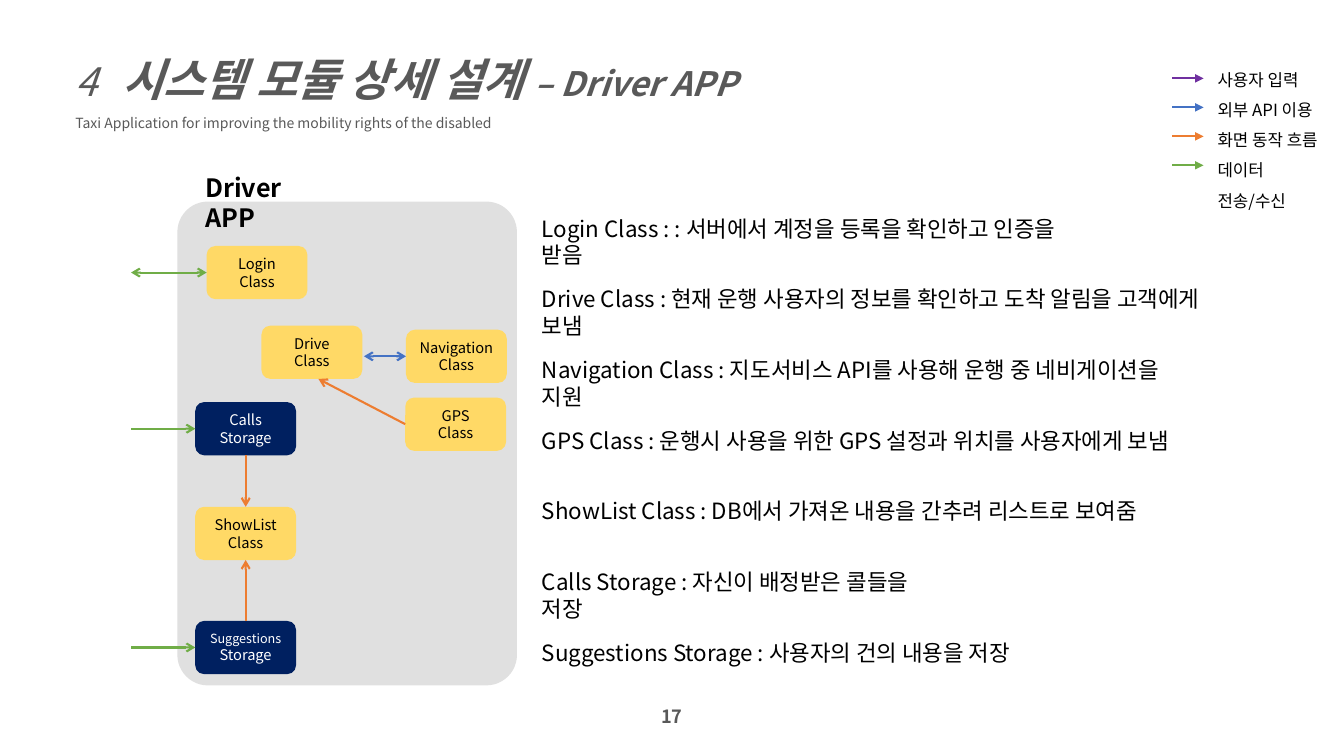
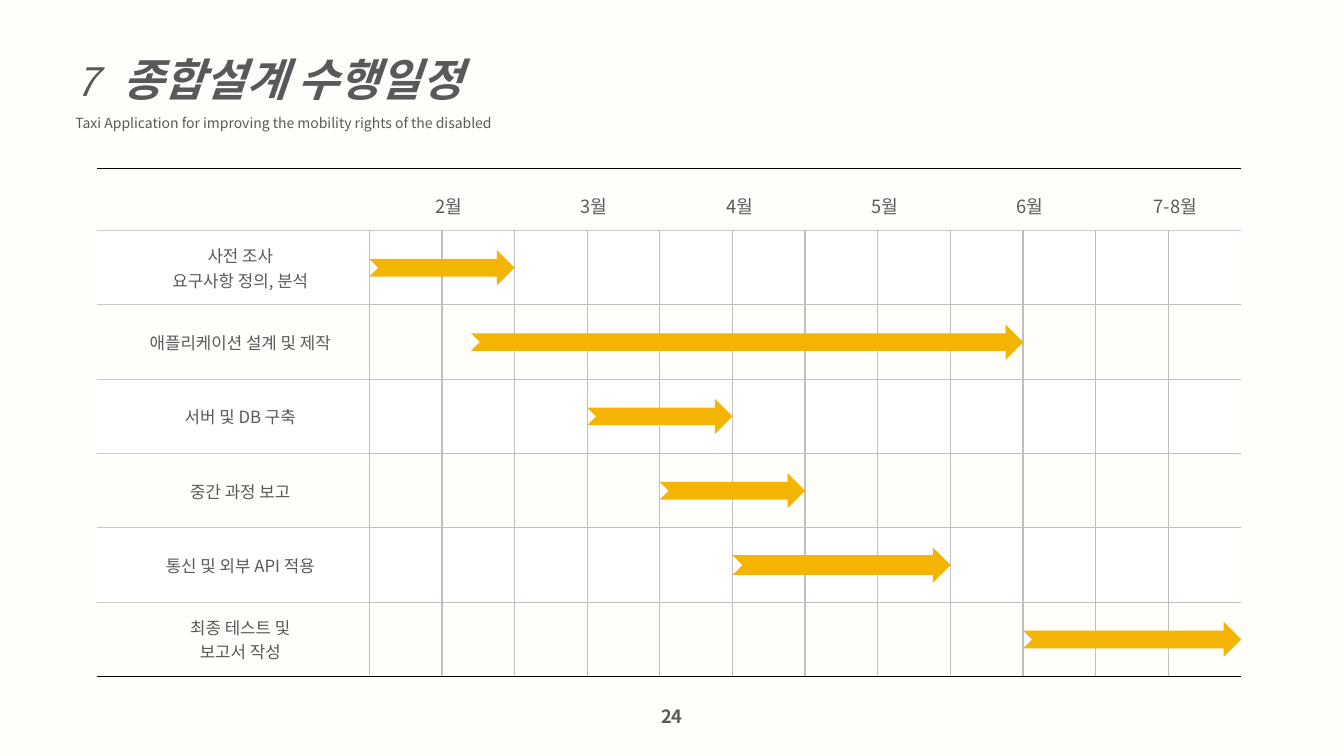
from lxml.etree import SubElement
from pptx import Presentation
from pptx.dml.color import RGBColor
from pptx.enum.shapes import MSO_CONNECTOR, MSO_SHAPE
from pptx.enum.text import MSO_ANCHOR, MSO_AUTO_SIZE, PP_ALIGN
from pptx.oxml.ns import qn
from pptx.util import Pt

FONT = "Noto Sans CJK KR"
BLACK, WHITE, GRAY = "000000", "FFFFFF", "595959"
YELLOW, NAVY, PANEL, GOLD = "FFD966", "002060", "E0E0E0", "F3B403"
PURPLE, BLUE, ORANGE, GREEN = "7030A0", "4472C4", "ED7D31", "70AD47"
GRID, RULE = "BFBFBF", "CACACA"
SUBTITLE = "Taxi Application for improving the mobility rights of the disabled"

DESCRIPTIONS = [
    ("Login Class : : 서버에서 계정을 등록을 확인하고 인증을 받음", 414),
    ("Drive Class : 현재 운행 사용자의 정보를 확인하고 도착 알림을 고객에게 보냄", 511),
    ("Navigation Class : 지도서비스 API를 사용해 운행 중 네비게이션을 지원", 480),
    ("GPS Class : 운행시 사용을 위한 GPS 설정과 위치를 사용자에게 보냄", 464),
    ("ShowList Class : DB에서 가져온 내용을 간추려 리스트로 보여줌", 440),
    ("Calls Storage : 자신이 배정받은 콜들을 저장", 308),
    ("Suggestions Storage : 사용자의 건의 내용을 저장", 349),
]
MODULES = [
    ("Login", "Class", 147.6, 175.7, 10.5),
    ("Drive", "Class", 186.8, 232.6, 10.5),
    ("Navigation", "Class", 290, 235.5, 10.5),
    ("GPS", "Class", 289.5, 284, 10.5),
    ("Calls", "Storage", 139.5, 287.2, 10.5),
    ("ShowList", "Class", 139.5, 362, 10.5),
    ("Suggestions", "Storage", 139.5, 443.5, 9),
]
FLOWS = [
    (("Login", 1), (93.6, 194.7), GREEN, True),
    ((93.6, 306.2), ("Calls", 1), GREEN, False),
    ((93.6, 462.5), ("Suggestions", 1), GREEN, False),
    ((260, 254.5), ("Navigation", 1), BLUE, True),
    (("GPS", 1), (227.5, 270.7), ORANGE, False),
    (("Calls", 2), ("ShowList", 0), ORANGE, False),
    (("Suggestions", 0), ("ShowList", 2), ORANGE, False),
]
LEGEND = [("사용자 입력", PURPLE), ("외부 API 이용", BLUE),
          ("화면 동작 흐름", ORANGE), ("데이터 전송/수신", GREEN)]

MONTHS = ["2월", "3월", "4월", "5월", "6월", "7-8월"]
TASKS = [
    (["사전 조사", "요구사항 정의, 분석"], 0, 2, 0.5),
    (["애플리케이션 설계 및 제작"], 1.4, 9, 0.5),
    (["서버 및 DB 구축"], 3, 5, 0.5),
    (["중간 과정 보고"], 4, 6, 0.5),
    (["통신 및 외부 API 적용"], 5, 8, 0.56),
    (["최종 테스트 및", "보고서 작성"], 9, 12, 0.5),
]
TABLE_LEFT, TABLE_TOP = 69.4, 120.2
LABEL_WIDTH, HALF_MONTH = 194.4, 51.9
HEADER_HEIGHT, TASK_HEIGHT, BAR_HEIGHT = 44.5, 53.1, 25.2


def rgb(value):
    """Turn a hex string into a colour."""
    return RGBColor.from_string(value)


def write(frame, paragraphs, color=BLACK, align=PP_ALIGN.LEFT, spacing=None):
    """Fill a text frame with paragraphs of (text, size, style) runs."""
    frame.word_wrap = True
    for index, spans in enumerate(paragraphs):
        para = frame.paragraphs[0] if index == 0 else frame.add_paragraph()
        para.alignment = align
        if spacing:
            para.line_spacing = spacing
        for text, size, style in spans:
            span = para.add_run()
            span.text = text
            span.font.size = Pt(size)
            span.font.name = FONT
            span.font.bold = "b" in style
            span.font.italic = "i" in style
            span.font.color.rgb = rgb(color)
            east_asian = SubElement(span.font._element, qn("a:ea"))
            east_asian.set("typeface", FONT)


def add_text(page, left, top, width, height, paragraphs, **options):
    """Add a text box that grows with its text."""
    box = page.shapes.add_textbox(Pt(left), Pt(top), Pt(width), Pt(height))
    write(box.text_frame, paragraphs, **options)
    box.text_frame.auto_size = MSO_AUTO_SIZE.SHAPE_TO_FIT_TEXT
    return box


def add_block(page, kind, left, top, width, height, fill):
    """Add a flat filled shape without outline."""
    block = page.shapes.add_shape(kind, Pt(left), Pt(top), Pt(width), Pt(height))
    block.shadow.inherit = False
    block.fill.solid()
    block.fill.fore_color.rgb = rgb(fill)
    block.line.fill.background()
    return block


def add_arrow(page, start, end, color, kind, both=False, blocks=None):
    """Draw an arrow between points or (block name, side) joints."""
    free = [(0, 0) if isinstance(p[0], str) else p for p in (start, end)]
    points = [Pt(value) for point in free for value in point]
    arrow = page.shapes.add_connector(MSO_CONNECTOR.STRAIGHT, *points)
    for joint, connect in ((start, arrow.begin_connect), (end, arrow.end_connect)):
        if isinstance(joint[0], str):
            connect(blocks[joint[0]], joint[1])
    arrow.line.color.rgb = rgb(color)
    arrow.line.width = Pt(1.5)
    line = arrow.line._get_or_add_ln()
    for tag in ("a:headEnd", "a:tailEnd") if both else ("a:tailEnd",):
        SubElement(line, qn(tag)).set("type", kind)
    SubElement(arrow._element.spPr, qn("a:effectLst"))


def add_page(deck, background, number, title, suffix, page_number):
    """Add a slide with the shared title, subtitle and page number."""
    page = deck.slides.add_slide(deck.slide_layouts[6])
    page.background.fill.solid()
    page.background.fill.fore_color.rgb = rgb(background)
    heading = [(number, 28, "i"), ("\t", 24, "i"), (title, 32, "bi")]
    if suffix:
        heading.append((suffix, 24, "bi"))
    box = add_text(page, 46.8, 14.4, 575, 82,
                   [heading, [(SUBTITLE, 10, "")]], color=GRAY, spacing=1.5)
    properties = box.text_frame.paragraphs[0]._p.get_or_add_pPr()
    tab = SubElement(SubElement(properties, qn("a:tabLst")), qn("a:tab"))
    tab.set("pos", str(Pt(33.5)))
    tab.set("algn", "l")
    add_text(page, 0, 500.4, 960, 23, [[(page_number, 13, "b")]],
             color=GRAY, align=PP_ALIGN.CENTER)
    return page


def build_modules(deck):
    """Build the module diagram with its descriptions and legend."""
    page = add_page(deck, WHITE, "4", "시스템 모듈 상세 설계 ", "– Driver APP", "17")
    for index, (text, width) in enumerate(DESCRIPTIONS):
        add_text(page, 380, 149.8 + 50.5 * index, width, 26.6, [[(text, 16, "")]])
    panel = add_block(page, MSO_SHAPE.ROUNDED_RECTANGLE, 126.7, 144, 242.6, 345.6, PANEL)
    panel.adjustments[0] = 0.09
    blocks = {}
    for name, kind, left, top, size in MODULES:
        fill, color = (NAVY, WHITE) if kind == "Storage" else (YELLOW, BLACK)
        block = add_block(page, MSO_SHAPE.ROUNDED_RECTANGLE, left, top, 72, 38, fill)
        write(block.text_frame, [[(name, size, "")], [(kind, 10.5, "")]],
              color=color, align=PP_ALIGN.CENTER)
        blocks[name] = block
    for start, end, color, both in FLOWS:
        add_arrow(page, start, end, color, "arrow", both, blocks)
    add_text(page, 139.5, 119.5, 103, 29, [[("Driver APP", 18, "b")]])
    for index, (text, color) in enumerate(LEGEND):
        y = 56 + 20.7 * index
        add_arrow(page, (837.4, y), (859.7, y), color, "triangle")
    add_text(page, 862.6, 38.9, 97.9, 93,
             [[(text, 12, "")] for text, color in LEGEND], spacing=1.5)


def style_cell(cell, left, right, top, bottom, fill):
    """Set the four borders, the fill and the margins of a cell."""
    properties = cell._tc.get_or_add_tcPr()
    for tag, color in (("lnL", left), ("lnR", right), ("lnT", top), ("lnB", bottom)):
        line = SubElement(properties, qn("a:" + tag))
        line.set("w", str(Pt(1)))
        if color:
            paint = SubElement(line, qn("a:solidFill"))
            SubElement(paint, qn("a:srgbClr")).set("val", color)
        else:
            SubElement(line, qn("a:noFill"))
    if fill:
        cell.fill.solid()
        cell.fill.fore_color.rgb = rgb(fill)
    else:
        cell.fill.background()
    cell.margin_left, cell.margin_right = Pt(17.3), Pt(7.2)
    cell.margin_top = cell.margin_bottom = Pt(3.6)
    cell.vertical_anchor = MSO_ANCHOR.MIDDLE


def build_schedule(deck):
    """Build the schedule table with a bar for each task."""
    page = add_page(deck, "FFFEFB", "7", "종합설계 수행일정", "", "24")
    halves, last_row = 2 * len(MONTHS), len(TASKS)
    table = page.shapes.add_table(
        last_row + 1, halves + 1, Pt(TABLE_LEFT), Pt(TABLE_TOP),
        Pt(LABEL_WIDTH + halves * HALF_MONTH),
        Pt(HEADER_HEIGHT + last_row * TASK_HEIGHT)).table
    table.first_row = table.horz_banding = False
    for index, column in enumerate(table.columns):
        column.width = Pt(HALF_MONTH if index else LABEL_WIDTH)
    for index, row in enumerate(table.rows):
        row.height = Pt(TASK_HEIGHT if index else HEADER_HEIGHT)
        for number, cell in enumerate(row.cells):
            inner = GRID if number else RULE
            style_cell(
                cell,
                left=GRID if index and number else None,
                right=GRID if index and number < halves else None,
                top=BLACK if index == 0 else RULE if index == 1 else inner,
                bottom=BLACK if index == last_row else inner if index else RULE,
                fill=WHITE if index % 2 else None)
    for index, month in enumerate(MONTHS):
        cell = table.cell(0, 2 * index + 1)
        cell.merge(table.cell(0, 2 * index + 2))
        write(cell.text_frame, [[(month, 13, "")]], color=GRAY,
              align=PP_ALIGN.CENTER, spacing=1.5)
    for index, (label, start, end, shaft) in enumerate(TASKS):
        write(table.cell(index + 1, 0).text_frame, [[(text, 12, "")] for text in label],
              color=GRAY, align=PP_ALIGN.CENTER)
        middle = TABLE_TOP + HEADER_HEIGHT + (index + 0.5) * TASK_HEIGHT
        bar = add_block(page, MSO_SHAPE.NOTCHED_RIGHT_ARROW,
                        TABLE_LEFT + LABEL_WIDTH + start * HALF_MONTH,
                        middle - BAR_HEIGHT / 2,
                        (end - start) * HALF_MONTH, BAR_HEIGHT, GOLD)
        bar.adjustments[0] = shaft


def main():
    """Build and save the deck."""
    deck = Presentation()
    deck.slide_width, deck.slide_height = Pt(960), Pt(540)
    build_modules(deck)
    build_schedule(deck)
    deck.save("out.pptx")


if __name__ == "__main__":
    main()
